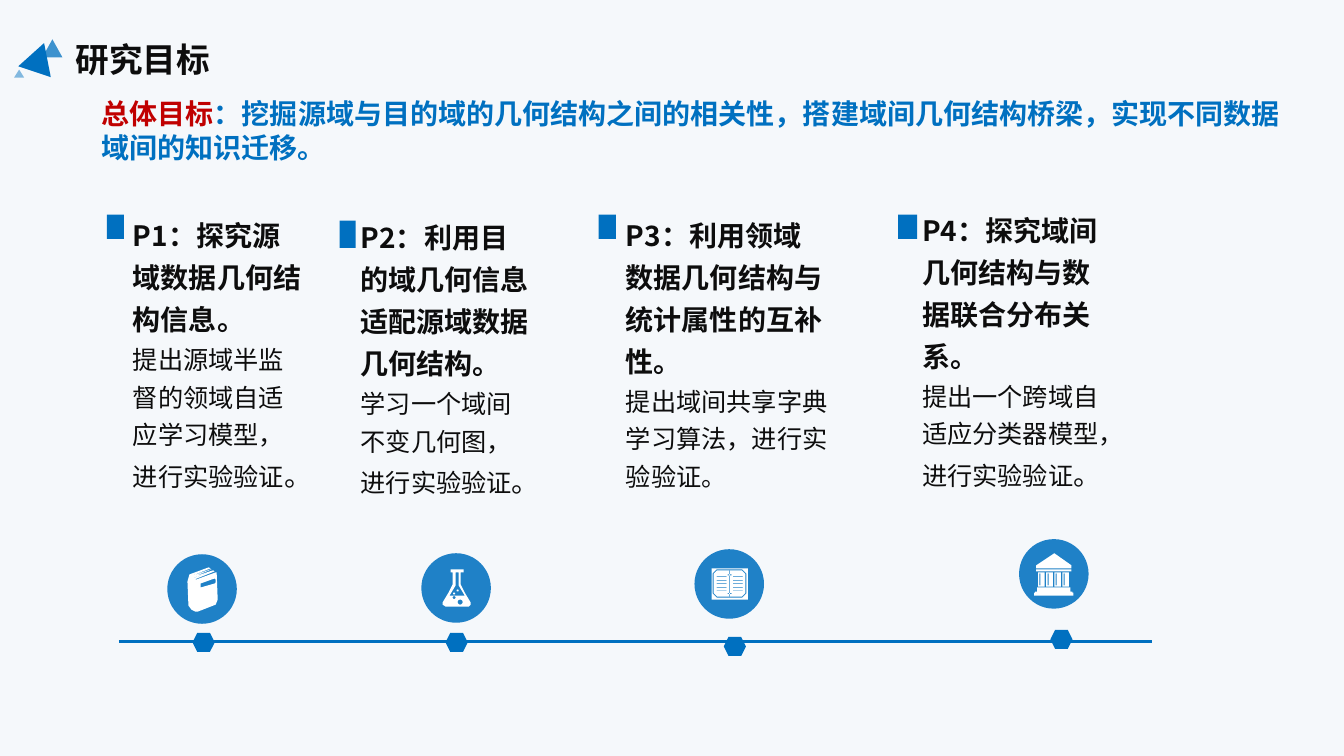
from math import cos, pi, sin

from pptx import Presentation
from pptx.dml.color import RGBColor
from pptx.enum.shapes import MSO_CONNECTOR as Link, MSO_SHAPE as Kind
from pptx.enum.text import MSO_AUTO_SIZE as Fit
from pptx.oxml.ns import qn
from pptx.util import Inches, Pt

# The slide is a grid of 160 columns by 90 rows of square cells.
WIDE, HIGH, COLS = 13.33, 7.5, 160
CELL = Inches(WIDE) / COLS
FONT = "Noto Sans CJK SC"
HEX = {"back": "F5F8FB", "blue": "0070C0", "ink": "0D0D0D",
       "red": "C00000", "white": "FFFFFF"}
DISC = 8.28   # cells across a disc
GRAIN = 69    # icon units across a disc

deck = Presentation()
deck.slide_width, deck.slide_height = Inches(WIDE), Inches(HIGH)
slide = deck.slides.add_slide(deck.slide_layouts[6])
shapes = slide.shapes


def emu(*cells):
    return [round(n * CELL) for n in cells]


def color(name):
    return RGBColor.from_string(HEX[name])


def paint(shape, name, alpha=100):
    shape.shadow.inherit = False
    shape.fill.solid()
    shape.fill.fore_color.rgb = color(name)
    shape.line.fill.background()
    if alpha < 100:
        rgb = shape.fill._xPr.find(".//" + qn("a:srgbClr"))
        rgb.makeelement(qn("a:alpha"))
        rgb.append(rgb.makeelement(qn("a:alpha"), {"val": str(alpha * 1000)}))


def draw(kind, x, y, w, h, alpha=100, turn=0):
    shape = shapes.add_shape(kind, *emu(x, y, w, h))
    shape.rotation = turn
    paint(shape, "blue", alpha)


def write(box, paras, space=None):
    """Fill a text box; each paragraph is a list of (text, size, bold, color)."""
    frame = shapes.add_textbox(*emu(*box)).text_frame
    frame.word_wrap = True
    frame.auto_size = Fit.SHAPE_TO_FIT_TEXT
    for i, runs in enumerate(paras):
        para = frame.add_paragraph() if i else frame.paragraphs[0]
        if space:
            para.line_spacing = space
        for text, size, bold, name in runs:
            run = para.add_run()
            run.text = text
            font = run.font
            font.size, font.bold, font.name = Pt(size), bold, FONT
            font.color.rgb = color(name)
            props = font._element
            props.find(qn("a:latin")).addnext(
                props.makeelement(qn("a:ea"), {"typeface": FONT}))


def title(box, text):
    x, y = box[:2]
    write(box, [[(text, 24, True, "ink")]])
    draw(Kind.ISOSCELES_TRIANGLE, x - 2.76, y + 0.6, 2.4, 2.16, alpha=75)
    draw(Kind.ISOSCELES_TRIANGLE, x - 5.16, y + 0.96, 4.08, 3.6, turn=18.5)
    draw(Kind.ISOSCELES_TRIANGLE, x - 6.12, y + 4.2, 1.2, 0.96, alpha=47)


def card(box, mark, head, body, stop):
    """Place one goal; mark is relative to the box, stop is the size of 。"""
    x, y = box[:2]
    dx, dy, w, h = mark
    write(box, [[(head, 20, True, "ink")],
                [(body, 18, False, "ink"), ("。", stop, False, "ink")]], space=1.25)
    draw(Kind.RECTANGLE, x + dx, y + dy, w, h)


def rect(x, y, w, h, cut=0):
    """Corners of a rectangle, bevelled by cut."""
    r, b = x + w, y + h
    if not cut:
        return [(x, y), (r, y), (r, b), (x, b)]
    return [(x + cut, y), (r - cut, y), (r, y + cut), (r, b - cut),
            (r - cut, b), (x + cut, b), (x, b - cut), (x, y + cut)]


def ring(x, y, r):
    turns = [pi * i / 6 for i in range(12)]
    return [(x + r * cos(t), y + r * sin(t)) for t in turns]


def book():
    return [[(41, 13), (22, 20), (20, 27), (21, 51), (24, 55), (28, 57), (30, 57),
             (48, 50), (50, 45), (49, 18), (48, 18), (29, 25), (27, 25), (47, 17),
             (46, 16), (26, 24), (25, 24), (45, 16), (24, 23), (44, 15), (43, 15),
             (23, 22), (25, 21), (43, 14)],
            [(33, 33), (33, 29), (47, 24), (48, 25), (48, 28), (47, 29)]]


def flask():
    return [[(39, 19), (39, 31), (43, 39), (49, 49), (49, 51), (47, 53), (24, 53),
             (21, 51), (21, 49), (27, 39), (31, 31), (31, 19), (29, 19), (29, 16),
             (42, 16), (42, 19)],
            [(37, 19), (34, 19), (34, 32), (28, 42), (43, 42), (37, 32)],
            ring(32.5, 44, 1.5), ring(38.5, 48.5, 2.5),
            ring(32.5, 40, 1), ring(36, 37, 1)]


def pages():
    lines = [rect(x, 27 + 3.5 * i, 10, 0.7) for x in (22, 38) for i in range(5)]
    return [rect(17, 19, 36, 31), rect(18, 20, 33.5, 28, 4),
            rect(19, 21, 31.5, 26, 3.5), rect(34.4, 21, 0.8, 26),
            rect(33, 25, 4, 1), rect(33, 43.5, 4, 1)] + lines


def temple():
    posts = [rect(19 + 8 * i, 33, 6.5, 14) for i in range(4)]
    slits = [rect(20.3 + 8 * i, 34, 1, 12) for i in range(4)]
    return [[(17, 26), (17, 29), (52, 29), (52, 26), (35, 14)],
            rect(17, 30, 35, 2),
            [(15, 56), (54, 56), (54, 53), (53, 53), (53, 52), (51, 52), (51, 48),
             (18, 48), (18, 52), (16, 52), (16, 53), (15, 53)]] + posts + slits


def icon(x, y, paths):
    fine = [[(10 * a, 10 * b) for a, b in path] for path in paths]
    pen = shapes.build_freeform(*fine[0][0], scale=DISC * CELL / GRAIN / 10)
    for i, path in enumerate(fine):
        if i:
            pen.move_to(*path[0])
        pen.add_line_segments(path[1:], close=True)
    paint(pen.convert_to_shape(*emu(x, y)), "white")


def track(x, y, w, stops):
    """Draw the line and, relative to its start, each disc, icon and node."""
    line = shapes.add_connector(Link.STRAIGHT, *emu(x, y, x + w, y))
    line.line.color.rgb = color("blue")
    line.line.width = Pt(2.25)
    props = line._element.spPr
    props.append(props.makeelement(qn("a:effectLst")))
    for (dx, dy), (nx, ny), sign in stops:
        draw(Kind.HEXAGON, x + nx, y + ny, 2.64, 2.28)
        draw(Kind.OVAL, x + dx, y + dy, DISC, DISC, alpha=87)
        icon(x + dx, y + dy, sign())


CARDS = [
    ((14.64, 24.48, 23.16, 34.56), (-1.92, 1.08, 2.04, 2.88),
     "P1：探究源域数据几何结构信息。",
     "提出源域半监督的领域自适应学习模型，进行实验验证", 20),
    ((41.76, 24.72, 22.8, 36.12), (-1.32, 1.56, 1.92, 3.24),
     "P2：利用目的域几何信息适配源域数据几何结构。",
     "学习一个域间不变几何图，进行实验验证", 20),
    ((73.32, 24.48, 26.4, 34.68), (-2.04, 1.08, 2.04, 2.88),
     "P3：利用领域数据几何结构与统计属性的互补性。",
     "提出域间共享字典学习算法，进行实验验证", 18),
    ((108.6, 23.88, 24.6, 36.12), (-1.68, 1.68, 2.28, 2.88),
     "P4：探究域间几何结构与数据联合分布关系。",
     "提出一个跨域自适应分类器模型，进行实验验证", 20),
]
STOPS = [
    ((5.76, -10.44), (8.76, -1.08), book),
    ((36, -10.56), (38.88, -1.08), flask),
    ((68.52, -11.04), (72, -0.6), pages),
    ((107.16, -12.24), (110.88, -1.44), temple),
]

slide.background.fill.solid()
slide.background.fill.fore_color.rgb = color("back")
title((7.8, 4.08, 39.6, 6), "研究目标")
track(14.16, 76.44, 123, STOPS)
for item in CARDS:
    card(*item)
write((10.92, 10.92, 143.64, 9.24), [[
    ("总体目标", 20, True, "red"),
    ("：挖掘源域与目的域的几何结构之间的相关性，搭建域间几何结构桥梁，"
     "实现不同数据域间的知识迁移。", 20, True, "blue")]])
deck.save("out.pptx")
